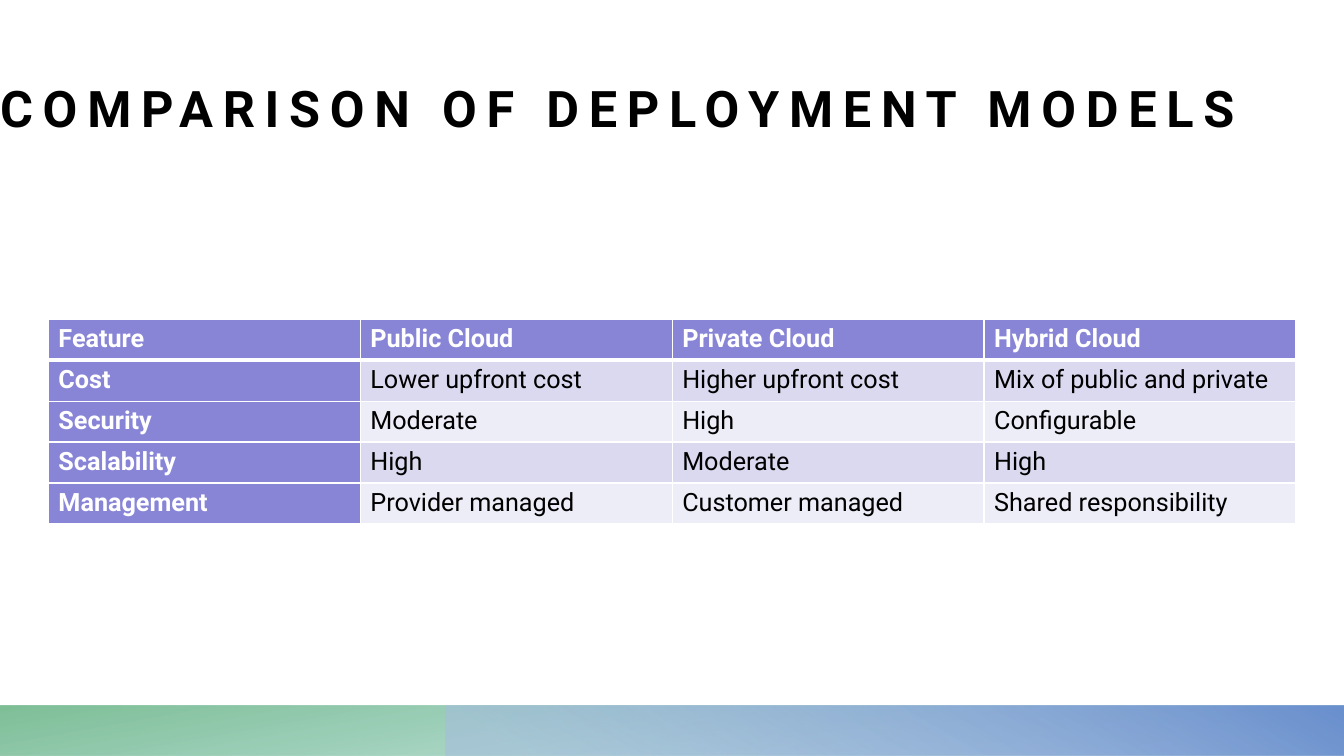
import lxml.etree
import pptx
import pptx.dml.color
import pptx.enum.shapes
import pptx.enum.text
import pptx.oxml
import pptx.oxml.ns
import pptx.util

Cm = pptx.util.Cm
Pt = pptx.util.Pt
qn = pptx.oxml.ns.qn

COLORS = {
    "black": "000000",
    "white": "FFFFFF",
    "header": "8885D7",
    "odd_row": "DAD9F0",
    "even_row": "EDEDF8",
    "teal": "5DB4A2",
    "green": "68B484",
    "pale_blue": "A6BCE2",
    "blue": "6A90CE",
}
FONT = "Roboto"
SLIDE_WIDTH = Cm(33.87)
SLIDE_HEIGHT = Cm(19.05)
BAND_HEIGHT = Cm(1.27)

COMPARISON = [
    ["Feature", "Public Cloud", "Private Cloud", "Hybrid Cloud"],
    ["Cost", "Lower upfront cost", "Higher upfront cost", "Mix of public and private"],
    ["Security", "Moderate", "High", "Configurable"],
    ["Scalability", "High", "Moderate", "High"],
    ["Management", "Provider managed", "Customer managed", "Shared responsibility"],
]


def rgb(name):
    return pptx.dml.color.RGBColor.from_string(COLORS[name])


def write_text(frame, text, size=18, color="black", bold=False, spacing=0):
    paragraph = frame.paragraphs[0]
    paragraph.alignment = pptx.enum.text.PP_ALIGN.LEFT
    run = paragraph.add_run()
    run.text = text
    run.font.name = FONT
    run.font.size = Pt(size)
    run.font.bold = bold
    run.font.color.rgb = rgb(color)
    if spacing:
        run._r.get_or_add_rPr().set("spc", str(spacing * 100))


def gradient(stops, angle):
    stop_xml = "".join(
        f'<a:gs pos="{position * 1000}"><a:srgbClr val="{COLORS[color]}">'
        f'<a:alpha val="{opacity * 1000}"/></a:srgbClr></a:gs>'
        for position, color, opacity in stops
    )
    return pptx.oxml.parse_xml(
        f'<a:gradFill {pptx.oxml.ns.nsdecls("a")} rotWithShape="1"><a:gsLst>{stop_xml}</a:gsLst>'
        f'<a:lin ang="{angle * 60000}" scaled="0"/></a:gradFill>'
    )


def add_band(slide, left, stops, angle, rotation=0):
    band = slide.shapes.add_shape(
        pptx.enum.shapes.MSO_SHAPE.RECTANGLE,
        left, SLIDE_HEIGHT - BAND_HEIGHT, SLIDE_WIDTH - left, BAND_HEIGHT,
    )
    band.shadow.inherit = False
    band.line.fill.background()
    band.rotation = rotation
    properties = band._element.spPr
    properties.find(qn("a:xfrm")).set("flipH", "1")
    properties.find(qn("a:prstGeom")).addnext(gradient(stops, angle))


def place_title(slide, text):
    title = slide.shapes.title
    title.left, title.top = Cm(0), Cm(0.03)
    title.width, title.height = SLIDE_WIDTH, Cm(3.43)
    frame = title.text_frame
    frame.margin_left = frame.margin_right = frame.margin_top = frame.margin_bottom = 0
    frame.vertical_anchor = pptx.enum.text.MSO_ANCHOR.BOTTOM
    frame.auto_size = pptx.enum.text.MSO_AUTO_SIZE.NONE
    frame.word_wrap = True
    write_text(frame, text, size=36, bold=True, spacing=7)
    slide.shapes._spTree.append(title._element)


def set_borders(cell, widths):
    properties = cell._tc.get_or_add_tcPr()
    for index, (side, width) in enumerate(widths.items()):
        border = lxml.etree.Element(qn(f"a:ln{side}"), w=str(Pt(width)))
        fill = lxml.etree.SubElement(border, qn("a:solidFill"))
        lxml.etree.SubElement(fill, qn("a:srgbClr"), val=COLORS["white"])
        properties.insert(index, border)


def add_comparison(slide, rows):
    column_width, row_height = Cm(7.86), Cm(1.03)
    comparison = slide.shapes.add_table(
        len(rows), len(rows[0]), Cm(1.22), Cm(8.05),
        column_width * len(rows[0]), row_height * len(rows),
    ).table
    comparison.first_col = True
    for row_index, row in enumerate(rows):
        comparison.rows[row_index].height = row_height
        for column_index, text in enumerate(row):
            cell = comparison.cell(row_index, column_index)
            heading = row_index == 0 or column_index == 0
            body_fill = "odd_row" if row_index % 2 else "even_row"
            cell.fill.solid()
            cell.fill.fore_color.rgb = rgb("header" if heading else body_fill)
            write_text(cell.text_frame, text, color="white" if heading else "black", bold=heading)
            set_borders(cell, {
                "L": 1,
                "R": 1,
                "T": 3 if row_index == 1 else 1,
                "B": 3 if row_index == 0 else 1,
            })


def main():
    deck = pptx.Presentation()
    deck.slide_width, deck.slide_height = SLIDE_WIDTH, SLIDE_HEIGHT
    slide = deck.slides.add_slide(deck.slide_layouts[5])
    add_band(slide, Cm(0), [(14, "teal", 28), (100, "green", 85)], 100, rotation=180)
    add_band(slide, Cm(11.22), [(9, "pale_blue", 55), (99, "blue", 100)], 240)
    place_title(slide, "COMPARISON OF DEPLOYMENT MODELS")
    add_comparison(slide, COMPARISON)
    deck.save("out.pptx")


if __name__ == "__main__":
    main()
